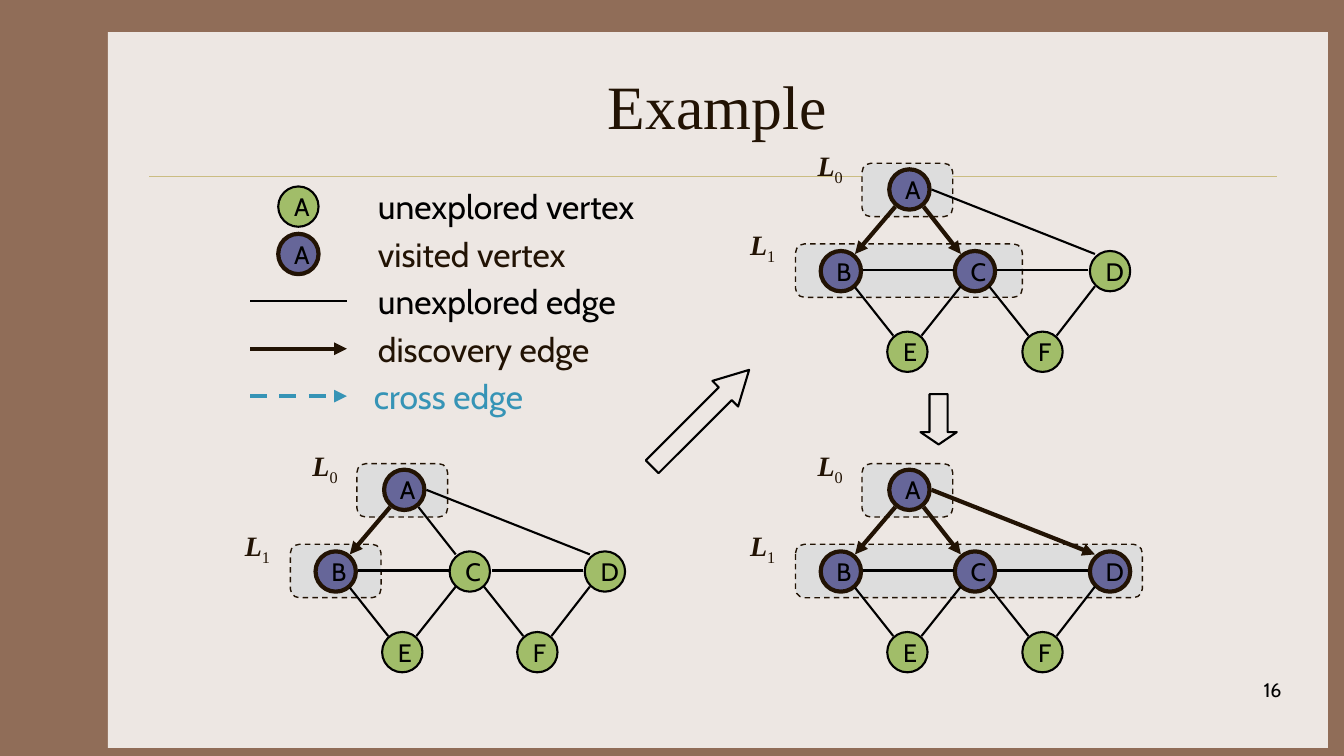
from lxml import etree
from pptx import Presentation
from pptx.dml.color import RGBColor
from pptx.enum.dml import MSO_LINE
from pptx.enum.shapes import MSO_CONNECTOR, MSO_SHAPE
from pptx.enum.text import MSO_ANCHOR, PP_ALIGN
from pptx.oxml.ns import qn
from pptx.util import Inches, Pt

STRAIGHT = MSO_CONNECTOR.STRAIGHT
RECT, ROUND, OVAL = MSO_SHAPE.RECTANGLE, MSO_SHAPE.ROUNDED_RECTANGLE, MSO_SHAPE.OVAL
RIGHT_ARROW, DOWN_ARROW = MSO_SHAPE.RIGHT_ARROW, MSO_SHAPE.DOWN_ARROW
DASH = MSO_LINE.DASH
MIDDLE = MSO_ANCHOR.MIDDLE
LEFT, CENTER, RIGHT = PP_ALIGN.LEFT, PP_ALIGN.CENTER, PP_ALIGN.RIGHT

BROWN = RGBColor(0x90, 0x6D, 0x58)
CREAM = RGBColor(0xED, 0xE7, 0xE3)
GOLD = RGBColor(0xCB, 0xBD, 0x83)
DARK = RGBColor(0x22, 0x13, 0x04)
BLACK = RGBColor(0x00, 0x00, 0x00)
GREEN = RGBColor(0xA1, 0xBD, 0x69)
PURPLE = RGBColor(0x66, 0x66, 0x99)
GRAY = RGBColor(0xDD, 0xDD, 0xDD)
BLUE = RGBColor(0x36, 0x94, 0xB6)
SANS, SERIF = "Cabin", "Times New Roman"

VERTICES = {"A": (0, 0), "B": (-0.68, 0.81), "C": (0.65, 0.81),
            "D": (1.99, 0.81), "E": (-0.02, 1.61), "F": (1.32, 1.61)}
EDGES = {"AB": (0.06, 0.37, -0.34, 0.84), "AC": (0.34, 0.37, 0.71, 0.84),
         "AD": (0.42, 0.2, 2.04, 0.84), "BC": (-0.26, 1, 0.64, 1),
         "CD": (1.07, 1, 1.97, 1), "BE": (-0.34, 1.17, 0.04, 1.65),
         "CE": (0.71, 1.16, 0.32, 1.65), "CF": (0.99, 1.16, 1.38, 1.65),
         "DF": (2.04, 1.16, 1.66, 1.65)}
GRAPHS = [(3.81, 4.66, "AB", ["AB"], 0.9),
          (8.82, 1.68, "ABC", ["AB", "AC"], 2.25),
          (8.82, 4.66, "ABCD", ["AB", "AC", "AD"], 3.44)]
LEGEND = [("unexplored vertex", BLACK), ("visited vertex", DARK),
          ("unexplored edge", BLACK), ("discovery edge", DARK), ("cross edge", BLUE)]


def add_run(p, text, font=SANS, size=18, color=BLACK, bold=False, italic=False, baseline=None):
    r = p.add_run()
    r.text = text
    r.font.name, r.font.size = font, Pt(size)
    r.font.bold, r.font.italic = bold, italic
    r.font.color.rgb = color
    if baseline:
        r.font._element.set("baseline", str(baseline))


class Deck:
    def __init__(self):
        self.prs = Presentation()
        self.prs.slide_width, self.prs.slide_height = Inches(13.33), Inches(7.5)
        self.s = self.prs.slides.add_slide(self.prs.slide_layouts[5])
        fill = self.s.background.fill
        fill.solid()
        fill.fore_color.rgb = BROWN

    def title(self, x, y, w, h, text):
        sp = self.s.shapes.title
        sp.left, sp.top, sp.width, sp.height = map(Inches, (x, y, w, h))
        sp.element.getparent().append(sp.element)
        sp.text_frame.vertical_anchor = MIDDLE
        p = sp.text_frame.paragraphs[0]
        p.alignment = CENTER
        add_run(p, text, font=SERIF, size=44, color=DARK)

    def shape(self, kind, x, y, w, h, fill=None, line=None, width=1.5, dash=None):
        sp = self.s.shapes.add_shape(kind, *map(Inches, (x, y, w, h)))
        sp.shadow.inherit = False
        if fill is None:
            sp.fill.background()
        else:
            sp.fill.solid()
            sp.fill.fore_color.rgb = fill
        if line is None:
            sp.line.fill.background()
        else:
            sp.line.color.rgb, sp.line.width = line, Pt(width)
            if dash:
                sp.line.dash_style = dash
        return sp

    def line(self, x1, y1, x2, y2, color=BLACK, width=1.5, arrow=False, dash=None):
        c = self.s.shapes.add_connector(STRAIGHT, *map(Inches, (x1, y1, x2, y2)))
        c.line.color.rgb, c.line.width = color, Pt(width)
        if dash:
            c.line.dash_style = dash
        if arrow:
            etree.SubElement(c.line._get_or_add_ln(), qn("a:tailEnd"), type="triangle")
        etree.SubElement(c.element.spPr, qn("a:effectLst"))

    def text(self, x, y, w, h, align=LEFT, wrap=True):
        tf = self.s.shapes.add_textbox(*map(Inches, (x, y, w, h))).text_frame
        tf.word_wrap = wrap
        p = tf.paragraphs[0]
        p.alignment = align
        return p

    def vertex(self, x, y, name, visited):
        fill, line, width = (PURPLE, DARK, 3) if visited else (GREEN, BLACK, 1.5)
        tf = self.shape(OVAL, x, y, 0.4, 0.4, fill, line, width).text_frame
        tf.word_wrap = False
        tf.vertical_anchor = MIDDLE
        p = tf.paragraphs[0]
        p.alignment = LEFT
        add_run(p, name)

    def edge(self, x1, y1, x2, y2, discovery):
        if discovery:
            self.line(x1, y1, x2, y2, DARK, 3, arrow=True)
        else:
            self.line(x1, y1, x2, y2)

    def level(self, x, y, w, label_x, label_y, index):
        self.shape(ROUND, x, y, w, 0.53, GRAY, DARK, 1, DASH)
        p = self.text(label_x, label_y, 0.51, 0.43)
        add_run(p, "L", font=SERIF, size=20, color=DARK, bold=True, italic=True)
        add_run(p, index, font=SERIF, size=20, color=DARK, baseline=-25000)

    def graph(self, x, y, visited, discovered, level_width):
        self.level(x - 0.93, y + 0.74, level_width, x - 1.48, y + 0.53, "1")
        self.level(x - 0.27, y - 0.06, 0.9, x - 0.81, y - 0.26, "0")
        for name, (dx, dy) in VERTICES.items():
            self.vertex(x + dx, y + dy, name, name in visited)
        for name, (x1, y1, x2, y2) in EDGES.items():
            self.edge(x + x1, y + y1, x + x2, y + y2, name in discovered)

    def legend(self, x, y, pitch):
        for i, (label, color) in enumerate(LEGEND):
            top = y + i * pitch
            label_x = x + 1.13 if color == BLUE else x + 1.17
            add_run(self.text(label_x, top, 2.85, 0.5, wrap=False), label, size=24, color=color)
            if i < 2:
                self.vertex(x + 0.28, top + 0.05, "A", i == 1)
            elif color == BLUE:
                self.line(x, top + 0.25, x + 0.96, top + 0.25, BLUE, 3, True, DASH)
            else:
                self.edge(x, top + 0.25, x + 0.96, top + 0.25, color == DARK)

    def block_arrow(self, kind, x, y, w, h, head, rotation=0):
        sp = self.shape(kind, x, y, w, h, line=BLACK)
        sp.adjustments[1] = head
        sp.rotation = rotation


def main():
    d = Deck()
    d.shape(RECT, 1.07, 0.32, 12.1, 7.1, CREAM)
    d.line(1.48, 1.75, 12.67, 1.75, GOLD, 0.25)
    d.title(1.56, 0.42, 11.11, 1.25, "Example")
    add_run(d.text(10.03, 6.68, 2.78, 0.5, RIGHT), "16", size=14)
    d.legend(2.48, 1.8, 0.47)
    d.block_arrow(DOWN_ARROW, 9.13, 3.91, 0.36, 0.5, 0.34)
    d.block_arrow(RIGHT_ARROW, 6.27, 3.97, 1.36, 0.36, 0.93, -45)
    for graph in GRAPHS:
        d.graph(*graph)
    d.prs.save("out.pptx")


if __name__ == "__main__":
    main()
